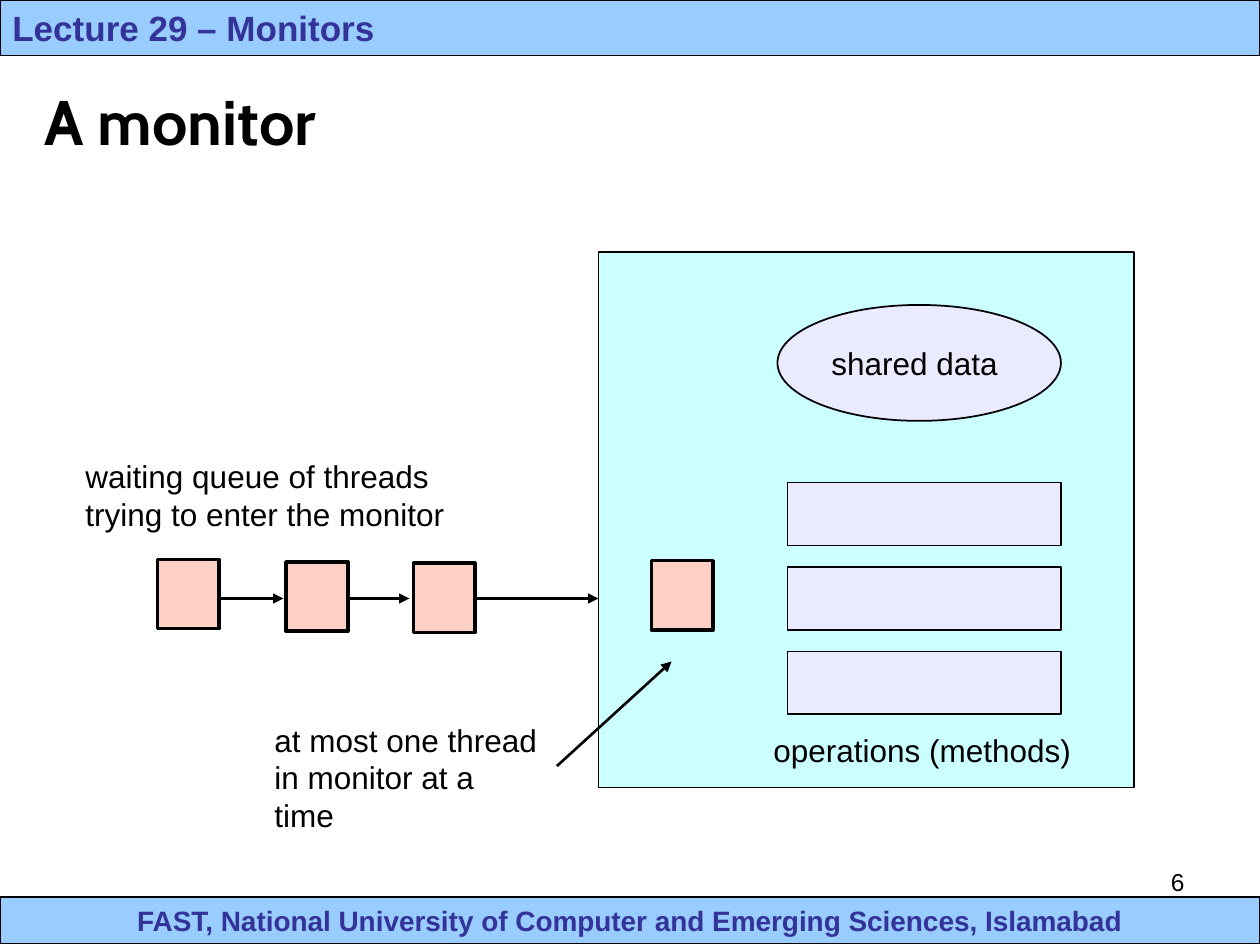
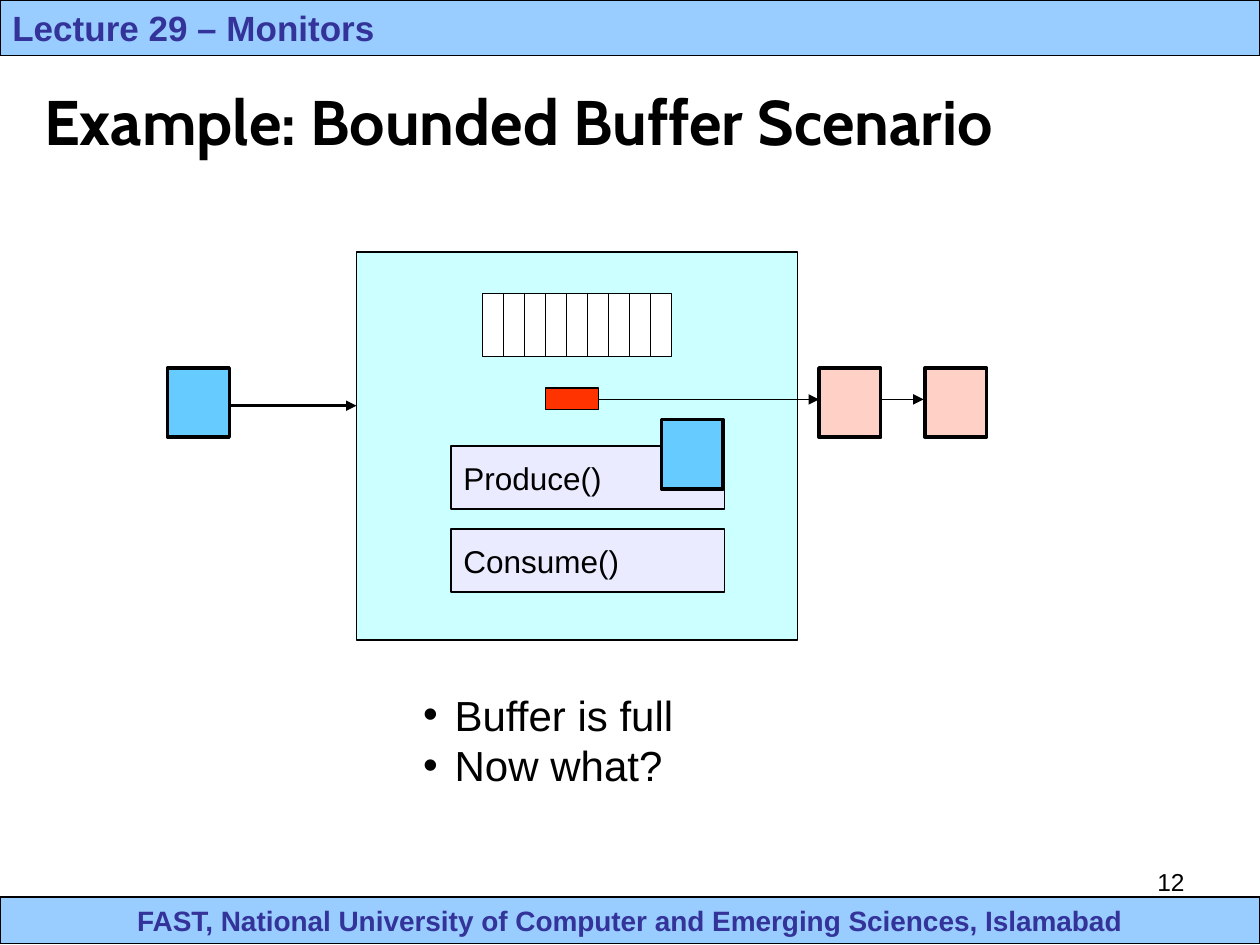
from lxml import etree
from pptx import Presentation
from pptx.dml.color import RGBColor
from pptx.enum.shapes import MSO_CONNECTOR, MSO_SHAPE
from pptx.enum.text import MSO_ANCHOR, PP_ALIGN
from pptx.oxml.ns import qn
from pptx.util import Inches, Pt

RECT, OVAL = MSO_SHAPE.RECTANGLE, MSO_SHAPE.OVAL
LINE = MSO_CONNECTOR.STRAIGHT
LEFT, CENTER, RIGHT = PP_ALIGN.LEFT, PP_ALIGN.CENTER, PP_ALIGN.RIGHT
TOP, MIDDLE = MSO_ANCHOR.TOP, MSO_ANCHOR.MIDDLE

BLACK = RGBColor(0x00, 0x00, 0x00)
WHITE = RGBColor(0xFF, 0xFF, 0xFF)
BAND = RGBColor(0x99, 0xCC, 0xFF)
NAVY = RGBColor(0x33, 0x33, 0x99)
AQUA = RGBColor(0xCC, 0xFF, 0xFF)
LILAC = RGBColor(0xEB, 0xEB, 0xFF)
PINK = RGBColor(0xFF, 0xD0, 0xC5)
SKY = RGBColor(0x66, 0xCC, 0xFF)
RED = RGBColor(0xFF, 0x33, 0x00)

FONT, HEAD = "Arial", "Cabin"
HEADER = "Lecture 29 – Monitors"
FOOTER = "FAST, National University of Computer and Emerging Sciences, Islamabad"


def write(par, text, size=18, color=BLACK, bold=False, font=FONT, align=LEFT):
    par.alignment = align
    run = par.add_run()
    run.text = text
    run.font.name = font
    run.font.size = Pt(size)
    run.font.bold = bold
    run.font.color.rgb = color


def frame(shape, wrap=True, anchor=TOP):
    body = shape.text_frame
    body.word_wrap = wrap
    body.vertical_anchor = anchor
    body.margin_left = body.margin_right = Inches(0.1)
    body.margin_top = body.margin_bottom = Inches(0.05)
    return body


def box(slide, x, y, w, h, fill, weight=1, kind=RECT):
    shape = slide.shapes.add_shape(kind, Inches(x), Inches(y), Inches(w), Inches(h))
    shape.shadow.inherit = False
    shape.fill.solid()
    shape.fill.fore_color.rgb = fill
    shape.line.color.rgb = BLACK
    shape.line.width = Pt(weight)
    return shape


def label(slide, x, y, w, h, text, wrap=True, **style):
    shape = slide.shapes.add_textbox(Inches(x), Inches(y), Inches(w), Inches(h))
    write(frame(shape, wrap).paragraphs[0], text, **style)


def join(slide, x1, y1, x2, y2, weight=1.5, arrow=True):
    line = slide.shapes.add_connector(LINE, Inches(x1), Inches(y1), Inches(x2), Inches(y2))
    line.line.color.rgb = BLACK
    line.line.width = Pt(weight)
    if arrow:
        etree.SubElement(line.line._get_or_add_ln(), qn("a:tailEnd"), type="triangle")
    etree.SubElement(line._element.spPr, qn("a:effectLst"))


def thread(slide, x, y, fill=PINK):
    box(slide, x, y, 0.49, 0.55, fill, 2)


def method(slide, x, y, text=None):
    shape = box(slide, x, y, 2.17, 0.5, LILAC)
    if text:
        write(frame(shape, False, MIDDLE).paragraphs[0], text)


def band(slide, y, h, text, size, align):
    shape = box(slide, 0, y, 10, h, BAND, 0.75)
    write(frame(shape, anchor=TOP).paragraphs[0], text, size, NAVY, True, align=align)


def bullets(slide, x, y, w, h, items):
    shape = slide.shapes.add_textbox(Inches(x), Inches(y), Inches(w), Inches(h))
    body = frame(shape, False)
    for i, item in enumerate(items):
        par = body.add_paragraph() if i else body.paragraphs[0]
        props = par._p.get_or_add_pPr()
        props.set("marL", str(Inches(0.25)))
        props.set("indent", str(Inches(-0.25)))
        etree.SubElement(props, qn("a:buFont"), typeface=FONT)
        etree.SubElement(props, qn("a:buChar"), char="•")
        write(par, item, 24)


def page(deck, title, number):
    slide = deck.slides.add_slide(deck.slide_layouts[5])
    band(slide, 7.12, 0.37, FOOTER, 16, CENTER)
    band(slide, 0, 0.44, HEADER, 20, LEFT)
    label(slide, 7.17, 6.83, 2.33, 0.52, number, size=14, align=RIGHT)
    head = slide.shapes.title
    head.left, head.top = Inches(0.25), Inches(0.58)
    head.width, head.height = Inches(9), Inches(0.75)
    write(frame(head, anchor=MIDDLE).paragraphs[0], title, 36, bold=True, font=HEAD)
    return slide


def monitor(deck):
    slide = page(deck, "A monitor", "6")
    box(slide, 4.75, 2, 4.25, 4.25, AQUA)
    data = box(slide, 6.17, 2.42, 2.25, 0.92, LILAC, kind=OVAL)
    write(frame(data, False, MIDDLE).paragraphs[0], "shared data")
    for i in range(3):
        method(slide, 6.25, 3.83 + 0.67 * i)
    for start, end in ((1.67, 2.25), (2.72, 3.25), (3.75, 4.75)):
        join(slide, start, 4.75, end, 4.75)
    for x, y in ((3.28, 4.47), (2.27, 4.46), (1.25, 4.44), (5.17, 4.45)):
        thread(slide, x, y)
    label(slide, 0.58, 3.58, 3.58, 0.7,
          "waiting queue of threads trying to enter the monitor")
    label(slide, 6.04, 5.75, 2.56, 0.4, "operations (methods)", wrap=False)
    label(slide, 2.08, 5.67, 2.32, 1, "at most one thread in monitor at a time")
    join(slide, 4.42, 6.08, 5.33, 5.25)


def buffer(deck):
    slide = page(deck, "Example: Bounded Buffer Scenario", "12")
    box(slide, 2.83, 2, 3.5, 3.08, AQUA)
    method(slide, 3.58, 3.54, "Produce()")
    method(slide, 3.58, 4.2, "Consume()")
    join(slide, 1.83, 3.22, 2.83, 3.22)
    for x, y, fill in ((7.34, 2.92, PINK), (5.25, 3.33, SKY),
                       (1.33, 2.92, SKY), (6.5, 2.92, PINK)):
        thread(slide, x, y, fill)
    left, top, wide, high, slots = 3.83, 2.33, 1.5, 0.5, 9
    box(slide, left, top, wide, high, WHITE)
    for i in range(1, slots):
        x = left + wide * i / slots
        join(slide, x, top, x, top + high, 1, False)
    bullets(slide, 3.26, 5.42, 2.19, 0.9, ("Buffer is full", "Now what?"))
    box(slide, 4.33, 3.08, 0.42, 0.17, RED)
    join(slide, 4.75, 3.17, 6.5, 3.17, 1)
    join(slide, 7, 3.17, 7.33, 3.17, 1)


def main():
    deck = Presentation()
    deck.slide_width, deck.slide_height = Inches(10), Inches(7.5)
    monitor(deck)
    buffer(deck)
    deck.save("out.pptx")


if __name__ == "__main__":
    main()
